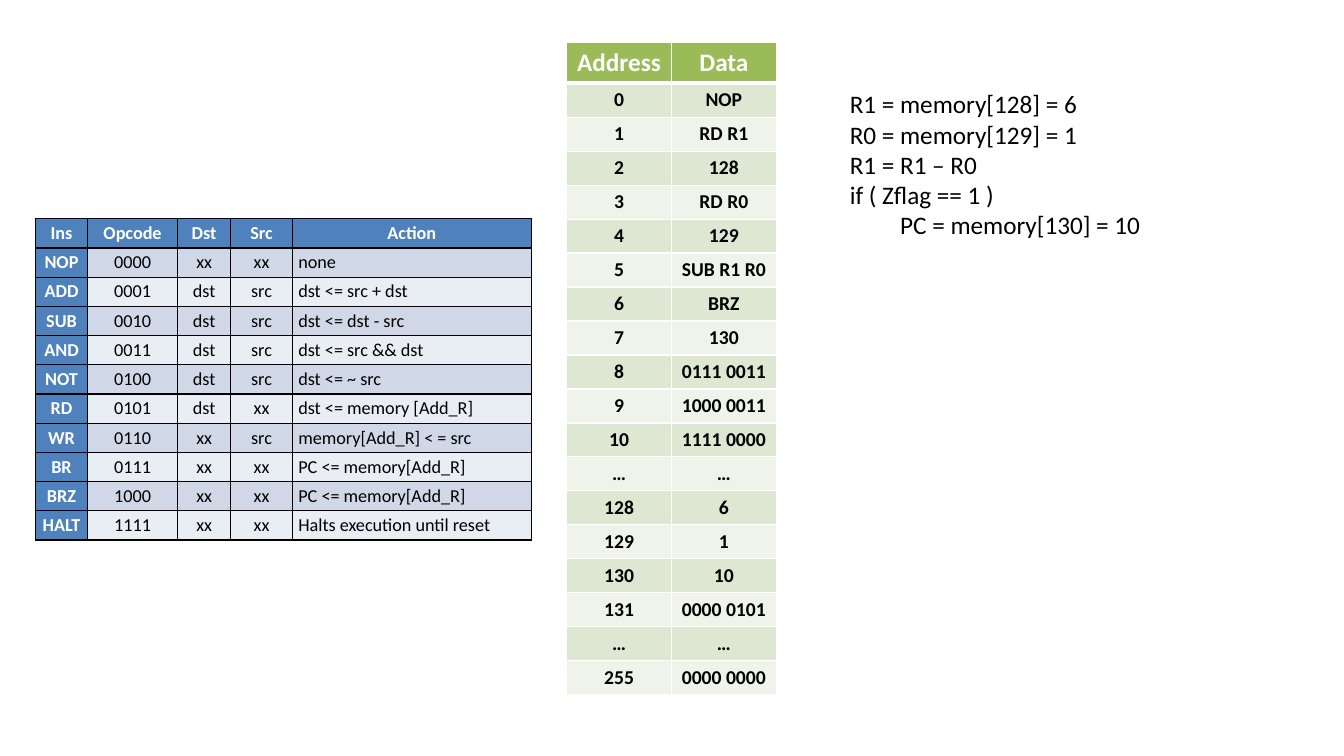
from dataclasses import dataclass

from lxml.etree import SubElement
from pptx import Presentation
from pptx.dml.color import RGBColor
from pptx.enum.text import MSO_ANCHOR, MSO_AUTO_SIZE, PP_ALIGN
from pptx.oxml.ns import qn
from pptx.util import Pt

EMU_PER_PX = 9144


@dataclass(frozen=True)
class Theme:
    font: str = "Calibri"
    black: str = "000000"
    white: str = "FFFFFF"
    blue: str = "4F81BD"
    blue_bands: tuple = ("D0D8E8", "E9EDF4")
    green: str = "9BBB59"
    green_bands: tuple = ("DEE7D1", "EFF3EA")
    large: int = 18
    memory: int = 14
    instruction: int = 13


THEME = Theme()

INSTRUCTIONS = [
    ("Ins", "Opcode", "Dst", "Src", "Action"),
    ("NOP", "0000", "xx", "xx", "none"),
    ("ADD", "0001", "dst", "src", "dst <= src + dst"),
    ("SUB", "0010", "dst", "src", "dst <= dst - src"),
    ("AND", "0011", "dst", "src", "dst <= src && dst"),
    ("NOT", "0100", "dst", "src", "dst <= ~ src"),
    ("RD", "0101", "dst", "xx", "dst <= memory [Add_R]"),
    ("WR", "0110", "xx", "src", "memory[Add_R] < = src"),
    ("BR", "0111", "xx", "xx", "PC <= memory[Add_R]"),
    ("BRZ", "1000", "xx", "xx", "PC <= memory[Add_R]"),
    ("HALT", "1111", "xx", "xx", "Halts execution until reset"),
]

MEMORY = [
    ("Address", "Data"),
    ("0", "NOP"),
    ("1", "RD R1"),
    ("2", "128"),
    ("3", "RD R0"),
    ("4", "129"),
    ("5", "SUB R1 R0"),
    ("6", "BRZ"),
    ("7", "130"),
    ("8", "0111 0011"),
    ("9", "1000 0011"),
    ("10", "1111 0000"),
    ("…", "…"),
    ("128", "6"),
    ("129", "1"),
    ("130", "10"),
    ("131", "0000 0101"),
    ("…", "…"),
    ("255", "0000 0000"),
]

TRACE = [
    "R1 = memory[128] = 6",
    "R0 = memory[129] = 1",
    "R1 = R1 – R0",
    "if ( Zflag == 1 )",
    "\tPC = memory[130] = 10",
]


def px(length):
    return length * EMU_PER_PX


def add_run(paragraph, text, size, color, bold=False):
    run = paragraph.add_run()
    run.text = text
    run.font.name = THEME.font
    run.font.size = Pt(size)
    run.font.bold = bold
    run.font.color.rgb = RGBColor.from_string(color)


def set_borders(cell, color, top=1, bottom=1):
    properties = cell._tc.get_or_add_tcPr()
    for side, width in (("L", 1), ("R", 1), ("T", top), ("B", bottom)):
        line = SubElement(properties, qn(f"a:ln{side}"), w=str(Pt(width)))
        fill = SubElement(line, qn("a:solidFill"))
        SubElement(fill, qn("a:srgbClr"), val=color)


def fill_cell(cell, text, size, text_color, bold, fill, alignment=PP_ALIGN.CENTER):
    cell.fill.solid()
    cell.fill.fore_color.rgb = RGBColor.from_string(fill)
    paragraph = cell.text_frame.paragraphs[0]
    paragraph.alignment = alignment
    add_run(paragraph, text, size, text_color, bold)


def add_grid(slide, box, rows, column_widths, row_height):
    frame = slide.shapes.add_table(len(rows), len(column_widths), *map(px, box))
    table = frame.table
    for column, width in zip(table.columns, column_widths):
        column.width = px(width)
    for row in table.rows:
        row.height = px(row_height)
    frame.height = px(box[3])
    return table


def add_memory_table(slide, box):
    table = add_grid(slide, box, MEMORY, [box[2] // 2] * 2, 26)
    for row_index, row in enumerate(MEMORY):
        header = row_index == 0
        for column_index, text in enumerate(row):
            cell = table.cell(row_index, column_index)
            set_borders(cell, THEME.white, 3 if row_index == 1 else 1, 3 if header else 1)
            if header:
                fill_cell(cell, text, THEME.large, THEME.white, True, THEME.green)
            else:
                band = THEME.green_bands[(row_index - 1) % 2]
                fill_cell(cell, text, THEME.memory, THEME.black, True, band)


def add_instruction_table(slide, box):
    table = add_grid(slide, box, INSTRUCTIONS, [52, 89, 53, 61, 237], 29)
    for row_index, row in enumerate(INSTRUCTIONS):
        for column_index, text in enumerate(row):
            cell = table.cell(row_index, column_index)
            cell.vertical_anchor = MSO_ANCHOR.MIDDLE
            cell.margin_left = cell.margin_right = px(6)
            cell.margin_top = cell.margin_bottom = 0
            set_borders(cell, THEME.black)
            if row_index == 0 or column_index == 0:
                fill_cell(cell, text, THEME.instruction, THEME.white, True, THEME.blue)
            else:
                band = THEME.blue_bands[(row_index - 1) % 2]
                last = column_index == len(row) - 1
                alignment = PP_ALIGN.LEFT if last else PP_ALIGN.CENTER
                fill_cell(cell, text, THEME.instruction, THEME.black, False, band, alignment)


def add_trace(slide, box):
    text_frame = slide.shapes.add_textbox(*map(px, box)).text_frame
    text_frame.word_wrap = True
    text_frame.auto_size = MSO_AUTO_SIZE.SHAPE_TO_FIT_TEXT
    for index, line in enumerate(TRACE):
        paragraph = text_frame.add_paragraph() if index else text_frame.paragraphs[0]
        add_run(paragraph, line, THEME.large, THEME.black)


def main():
    presentation = Presentation()
    presentation.slide_width = px(1333)
    presentation.slide_height = px(750)
    slide = presentation.slides.add_slide(presentation.slide_layouts[6])
    add_memory_table(slide, (562, 42, 208, 640))
    add_instruction_table(slide, (35, 217, 492, 317))
    add_trace(slide, (833, 83, 450, 192))
    presentation.save("out.pptx")


if __name__ == "__main__":
    main()
